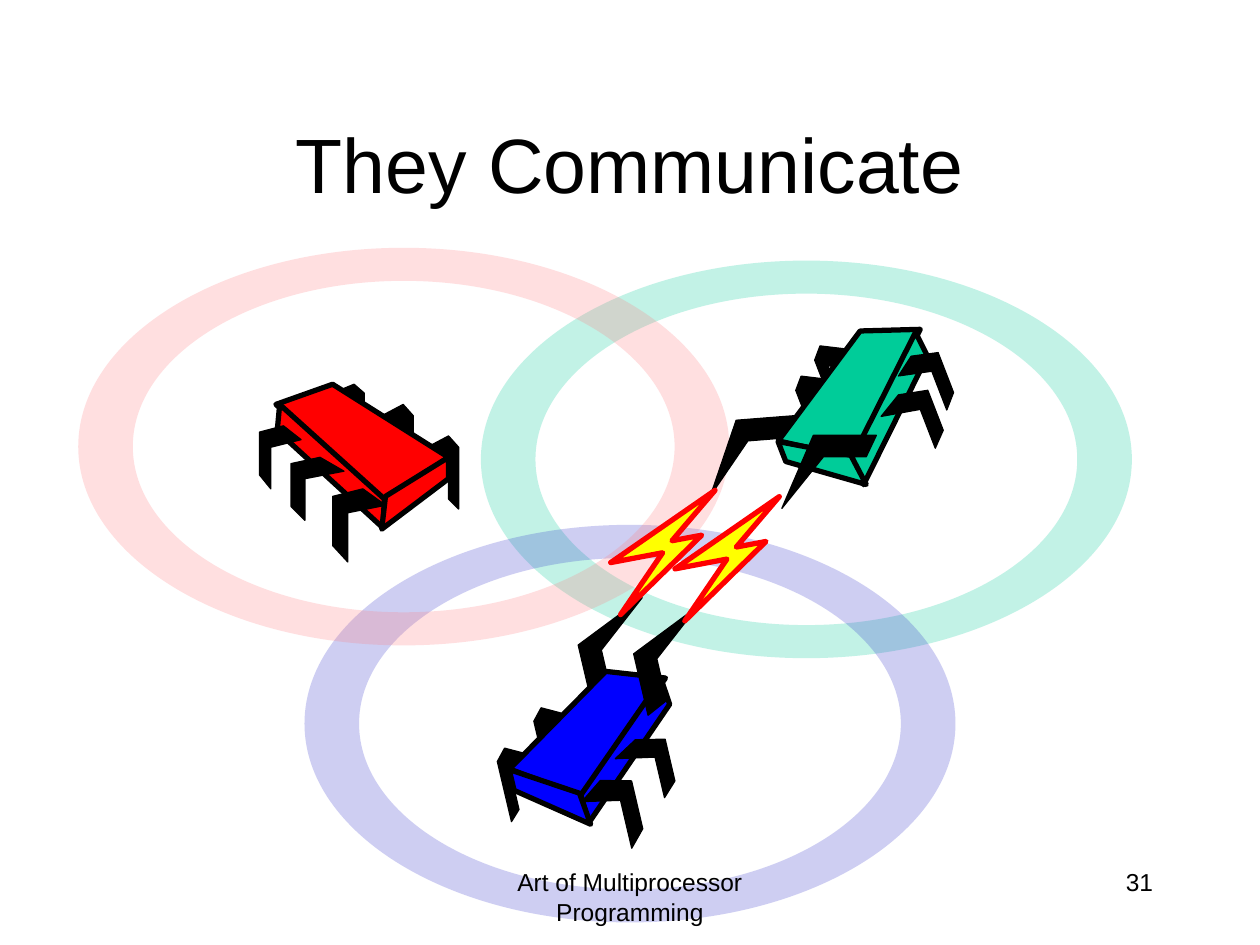
from math import cos, pi, sin

from lxml.etree import SubElement
from pptx import Presentation
from pptx.dml.color import RGBColor
from pptx.enum.text import MSO_ANCHOR as Anchor, PP_ALIGN as Align
from pptx.oxml.ns import qn
from pptx.util import Pt

BLACK = RGBColor(0x00, 0x00, 0x00)
RED = RGBColor(0xFF, 0x00, 0x00)
BLUE = RGBColor(0x00, 0x00, 0xFF)
GREEN = RGBColor(0x00, 0xCC, 0x99)
YELLOW = RGBColor(0xFF, 0xFF, 0x00)
RING_RED = RGBColor(0xFF, 0x7C, 0x80)
RING_BLUE = RGBColor(0x33, 0x33, 0xCC)

STEP = 0.72  # points per grid step of the bug and bolt outlines
FINE = 0.01  # points per grid step of the ring outlines

deck = Presentation()
deck.slide_width, deck.slide_height = Pt(720), Pt(540)
page = deck.slides.add_slide(deck.slide_layouts[6])


def add_text(text, left, top, width, height, size=14, align=Align.CENTER, anchor=Anchor.TOP):
    box = page.shapes.add_textbox(Pt(left), Pt(top), Pt(width), Pt(height))
    frame = box.text_frame
    frame.word_wrap = True
    frame.vertical_anchor = anchor
    para = frame.paragraphs[0]
    para.alignment = align
    span = para.add_run()
    span.text = text
    span.font.size = Pt(size)
    span.font.name = "Arial"
    span.font.color.rgb = BLACK


def add_outline(shapes, points, left, top, fill, unit=STEP, line=None, weight=0, turn=0):
    builder = shapes.build_freeform(*points[0], scale=Pt(unit))
    builder.add_line_segments(points[1:] + points[:1])
    shape = builder.convert_to_shape(Pt(left), Pt(top))
    shape.rotation = turn
    shape.shadow.inherit = False
    shape.fill.solid()
    shape.fill.fore_color.rgb = fill
    if line is None:
        shape.line.fill.background()
    else:
        shape.line.color.rgb = line
        shape.line.width = Pt(weight)
    return shape


# Slide number
add_text("31", 516, 492, 150, 36, align=Align.RIGHT)

# Translucent rings, each made of an outer ellipse and a hole drawn backwards
WIDTH, HEIGHT = 37200, 22720
RADII = [(18600, 11360, 1), (15480, 9470, -1)]
BEND = 0.5523  # control point distance for a quarter ellipse
for left, top, color in [
    (274.8, 148.9, GREEN),
    (174, 299.9, RING_BLUE),
    (44.7, 141.6, RING_RED),
]:
    frame = [(0, 0), (WIDTH, 0), (WIDTH, HEIGHT), (0, HEIGHT)]
    ring = add_outline(page.shapes, frame, left, top, color, unit=FINE)
    path = next(ring._element.iter(qn("a:path")))
    for child in list(path):
        path.remove(child)
    for radius_x, radius_y, way in RADII:
        segments = [("a:moveTo", [(-1, 0)])]
        for quarter in range(4):
            start = pi + quarter * pi / 2
            end = start + pi / 2
            segments.append(("a:cubicBezTo", [
                (cos(start) - BEND * sin(start), sin(start) + BEND * cos(start)),
                (cos(end) + BEND * sin(end), sin(end) - BEND * cos(end)),
                (cos(end), sin(end)),
            ]))
        for tag, points in segments + [("a:close", [])]:
            segment = SubElement(path, qn(tag))
            for x, y in points:
                point = SubElement(segment, qn("a:pt"))
                point.set("x", str(round(WIDTH / 2 + radius_x * x)))
                point.set("y", str(round(HEIGHT / 2 + way * radius_y * y)))
    rgb = next(ring._element.iter(qn("a:srgbClr")))
    SubElement(rgb, qn("a:alpha")).set("val", "24000")
    if color == RING_BLUE:  # the title lies between the rings
        add_text("They Communicate", 54, 48, 612, 90, size=44, anchor=Anchor.MIDDLE)

# Bug parts in grid steps, seen on a bug facing right
FAR_LEG = [(0, 9), (17, 0), (25, 9), (25, 58), (17, 50), (17, 17), (0, 25)]
SHORT_LEG = [(0, 7), (17, 0), (25, 7), (25, 50), (17, 42), (17, 14), (0, 21)]
TOP = [(45, 0), (137, 58), (85, 93), (0, 16)]
SIDE = [(2, 0), (85, 75), (84, 98), (0, 21)]
FRONT = [(53, 0), (53, 17), (0, 57), (3, 31)]
NEAR_LEG = [(24, 0), (42, 13), (12, 19), (12, 58), (0, 45), (0, 6)]
MIDDLE_LEG = [(23, 0), (42, 11), (11, 17), (11, 50), (0, 39), (0, 5)]
HIND_LEG = [(19, 0), (33, 11), (9, 17), (9, 50), (0, 39), (0, 5)]
WIDE_LEG = [(round(x * 36 / 33), y) for x, y in HIND_LEG]
ARM = [(58, 75), (41, 67), (41, 33), (0, 0), (58, 25)]
LEFT_ARM = [(58 - x, y) for x, y in ARM]
BODY = (TOP, SIDE, FRONT)

# Bugs: colour, mirrored, rotation, parts from back to front with left, top and own rotation
BUGS = [
    (RED, False, 0, [
        (FAR_LEG, 339, 346), (FAR_LEG, 303, 321), (SHORT_LEG, 264, 305),
        (TOP, 219, 305), (SIDE, 220, 321), (FRONT, 303, 363),
        (NEAR_LEG, 264, 388), (MIDDLE_LEG, 231, 363), (HIND_LEG, 206, 338)]),
    (BLUE, True, 346.8, [
        (ARM, 461, 480), (FAR_LEG, 399, 592), (FAR_LEG, 428, 560),
        (TOP, 400, 537), (SIDE, 454, 547), (FRONT, 410, 604),
        (NEAR_LEG, 465, 618), (MIDDLE_LEG, 491, 586), (ARM, 505, 487)]),
    (GREEN, True, 338.9, [
        (LEFT_ARM, 570, 324, 265.5), (FAR_LEG, 653, 271), (FAR_LEG, 638, 295),
        (TOP, 609, 268), (SIDE, 664, 275), (FRONT, 626, 339),
        (WIDE_LEG, 717, 280), (MIDDLE_LEG, 703, 311), (LEFT_ARM, 629, 337, 270)]),
]
for color, mirrored, bug_turn, parts in BUGS:
    group = page.shapes.add_group_shape()
    for part, left, top, *own_turn in parts:
        fill, weight = (color, 3) if part in BODY else (BLACK, 0.75)
        width = max(x for x, y in part)
        points = [(width - x, y) for x, y in part] if mirrored else part
        add_outline(group.shapes, points, left * STEP, top * STEP, fill, line=BLACK,
                    weight=weight, turn=own_turn[0] if own_turn else bug_turn)

# Lightning bolts between the green and the blue bug
BOLT = [(0, 83), (42, 41), (0, 41), (92, 0), (51, 33), (75, 33)]
for left, top in [(484, 397), (535, 402)]:
    add_outline(page.shapes, BOLT, left * STEP, top * STEP, YELLOW, line=RED, weight=3, turn=349.3)

# Footer
add_text("Art of Multiprocessor Programming", 246, 492, 228, 36)

deck.save("out.pptx")
